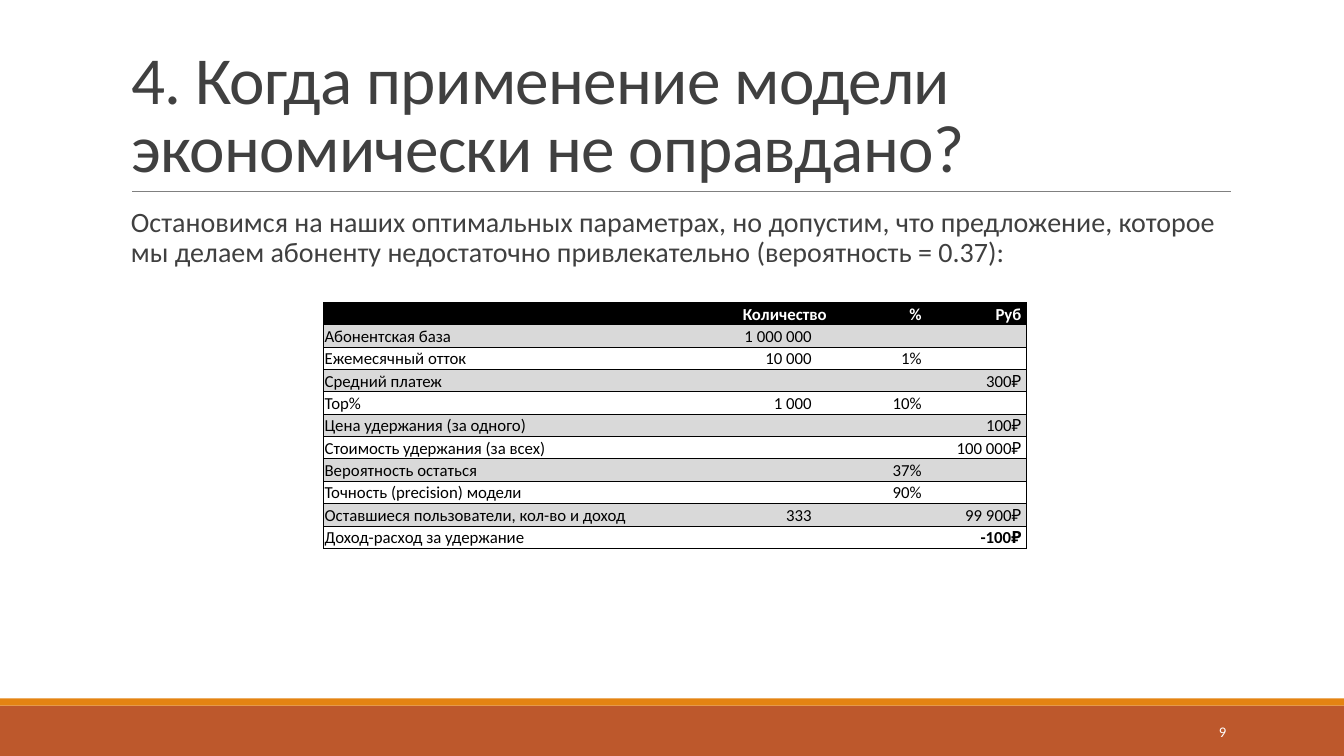
"""Builds the slide about when the retention model does not pay off."""
from dataclasses import dataclass

from lxml.etree import SubElement
from pptx import Presentation
from pptx.dml.color import RGBColor
from pptx.enum.shapes import MSO_CONNECTOR, MSO_SHAPE
from pptx.enum.text import MSO_ANCHOR as Anchor, MSO_AUTO_SIZE, PP_ALIGN as Align
from pptx.oxml.ns import qn
from pptx.util import Inches, Pt


@dataclass(frozen=True)
class Theme:
    font: str = "Calibri"
    text: str = "404040"
    black: str = "000000"
    white: str = "FFFFFF"
    band: str = "D9D9D9"
    rule: str = "808080"
    footer: str = "BD582C"
    accent: str = "E48312"
    title_size: float = 48
    body_size: float = 20
    table_size: float = 12
    number_size: float = 10.5
    line_width: float = 0.5


HEADER = ["", "Количество", "%", "Руб"]
ROWS = [
    ["Абонентская база", "1 000 000", "", ""],
    ["Ежемесячный отток", "10 000", "1%", ""],
    ["Средний платеж", "", "", "300₽"],
    ["Top%", "1 000", "10%", ""],
    ["Цена удержания (за одного)", "", "", "100₽"],
    ["Стоимость удержания (за всех)", "", "", "100 000₽"],
    ["Вероятность остаться", "", "37%", ""],
    ["Точность (precision) модели", "", "90%", ""],
    ["Оставшиеся пользователи, кол-во и доход", "333", "", "99 900₽"],
    ["Доход-расход за удержание", "", "", "-100₽"],
]
COLUMN_WIDTHS = [3.65, 1.38, 0.91, 1.03]
HEADER_INSETS = [0.01, 0.04, 0.01, 0.05]
VALUE_INSETS = [0.01, 0.19, 0.01, 0.05]


def write(frame, text, *, font, size, color, bold=False, align=Align.LEFT,
          anchor=Anchor.TOP, insets=(0.1, 0.05, 0.1, 0.05), line=None, tracking=None):
    frame.word_wrap = True
    frame.vertical_anchor = anchor
    sides = ("margin_left", "margin_top", "margin_right", "margin_bottom")
    for side, inset in zip(sides, insets):
        setattr(frame, side, Inches(inset))
    para = frame.paragraphs[0]
    para.alignment = align
    if line:
        para.line_spacing = line
    if not text:
        SubElement(para._p, qn("a:endParaRPr"), sz=str(int(size * 100)))
        return
    span = para.add_run()
    span.text = text
    span.font.name, span.font.size, span.font.bold = font, Pt(size), bold
    span.font.color.rgb = RGBColor.from_string(color)
    if tracking:
        span.font._element.set("spc", str(int(tracking * 100)))


class SlideBuilder:
    def __init__(self, page, theme):
        self.page = page
        self.theme = theme

    def title(self, text, left, top, width, height, **style):
        box = self.page.shapes.title
        box.left, box.top, box.width, box.height = map(Inches, (left, top, width, height))
        box.text_frame.auto_size = MSO_AUTO_SIZE.NONE
        write(box.text_frame, text, font=self.theme.font, **style)

    def text(self, text, left, top, width, height, **style):
        box = self.page.shapes.add_textbox(*map(Inches, (left, top, width, height)))
        write(box.text_frame, text, font=self.theme.font, **style)

    def bar(self, color, left, top, width, height):
        bar = self.page.shapes.add_shape(
            MSO_SHAPE.RECTANGLE, *map(Inches, (left, top, width, height)))
        bar.shadow.inherit = False
        bar.fill.solid()
        bar.fill.fore_color.rgb = RGBColor.from_string(color)
        bar.line.fill.background()

    def rule(self, color, left, right, top):
        rule = self.page.shapes.add_connector(
            MSO_CONNECTOR.STRAIGHT, *map(Inches, (left, top, right, top)))
        rule.line.color.rgb = RGBColor.from_string(color)
        rule.line.width = Pt(self.theme.line_width)
        SubElement(rule._element.spPr, qn("a:effectLst"))

    def borders(self, cell, visible):
        properties = cell._tc.get_or_add_tcPr()
        for side in "LRTB":
            edge = SubElement(properties, qn(f"a:ln{side}"),
                              w=str(Pt(self.theme.line_width)))
            if side in visible:
                fill = SubElement(edge, qn("a:solidFill"))
                SubElement(fill, qn("a:srgbClr"), val=self.theme.black)
            else:
                SubElement(edge, qn("a:noFill"))

    def cell(self, cell, text, fill, edges, right_inset, **style):
        self.borders(cell, edges)
        if fill:
            cell.fill.solid()
            cell.fill.fore_color.rgb = RGBColor.from_string(fill)
        else:
            cell.fill.background()
        cell.vertical_anchor = Anchor.BOTTOM
        cell.margin_left = cell.margin_top = Inches(0.01)
        cell.margin_right, cell.margin_bottom = Inches(right_inset), 0
        write(cell.text_frame, text, font=self.theme.font, size=self.theme.table_size,
              anchor=None, insets=(), **style)

    def table(self, rows, widths, left, top, height):
        theme = self.theme
        last_row, last_column = len(rows) - 1, len(widths) - 1
        table = self.page.shapes.add_table(
            len(rows), len(widths),
            *map(Inches, (left, top, sum(widths), height))).table
        table.first_row = table.horz_banding = False
        for column, width in zip(table.columns, widths):
            column.width = Inches(width)
        for r, values in enumerate(rows):
            table.rows[r].height = Inches(height / len(rows))
            header = r == 0
            fill = theme.black if header else theme.band if r % 2 else None
            insets = HEADER_INSETS if header else VALUE_INSETS
            for c, value in enumerate(values):
                edges = "TB" + "L" * (c == 0) + "R" * (c == last_column)
                self.cell(table.cell(r, c), value, fill, edges, insets[c],
                          color=theme.white if header else theme.black,
                          bold=header or (r, c) == (last_row, last_column),
                          align=Align.RIGHT if c else Align.LEFT)


def main():
    theme = Theme()
    deck = Presentation()
    deck.slide_width, deck.slide_height = Inches(13.33), Inches(7.5)
    slide = SlideBuilder(deck.slides.add_slide(deck.slide_layouts[5]), theme)
    slide.bar(theme.footer, 0, 7, 13.33, 0.5)
    slide.bar(theme.accent, 0, 6.93, 13.33, 0.07)
    slide.rule(theme.rule, 1.31, 12.21, 1.9)
    slide.title("4. Когда применение модели экономически не оправдано?",
                1.2, 0.31, 11, 1.59, size=theme.title_size, color=theme.text,
                anchor=Anchor.BOTTOM, line=0.85, tracking=-0.5)
    slide.text("Остановимся на наших оптимальных параметрах, но допустим, что предложение, "
               "которое мы делаем абоненту недостаточно привлекательно (вероятность = 0.37):",
               1.2, 2.02, 11, 4.4, size=theme.body_size, color=theme.text,
               insets=(0.1, 0.05, 0, 0.05), line=0.9)
    slide.table([HEADER] + ROWS, COLUMN_WIDTHS, 3.21, 3, 2.44)
    slide.text("9", 10.83, 7.06, 1.43, 0.4, size=theme.number_size, color=theme.white,
               align=Align.RIGHT, anchor=Anchor.MIDDLE)
    deck.save("out.pptx")


if __name__ == "__main__":
    main()
